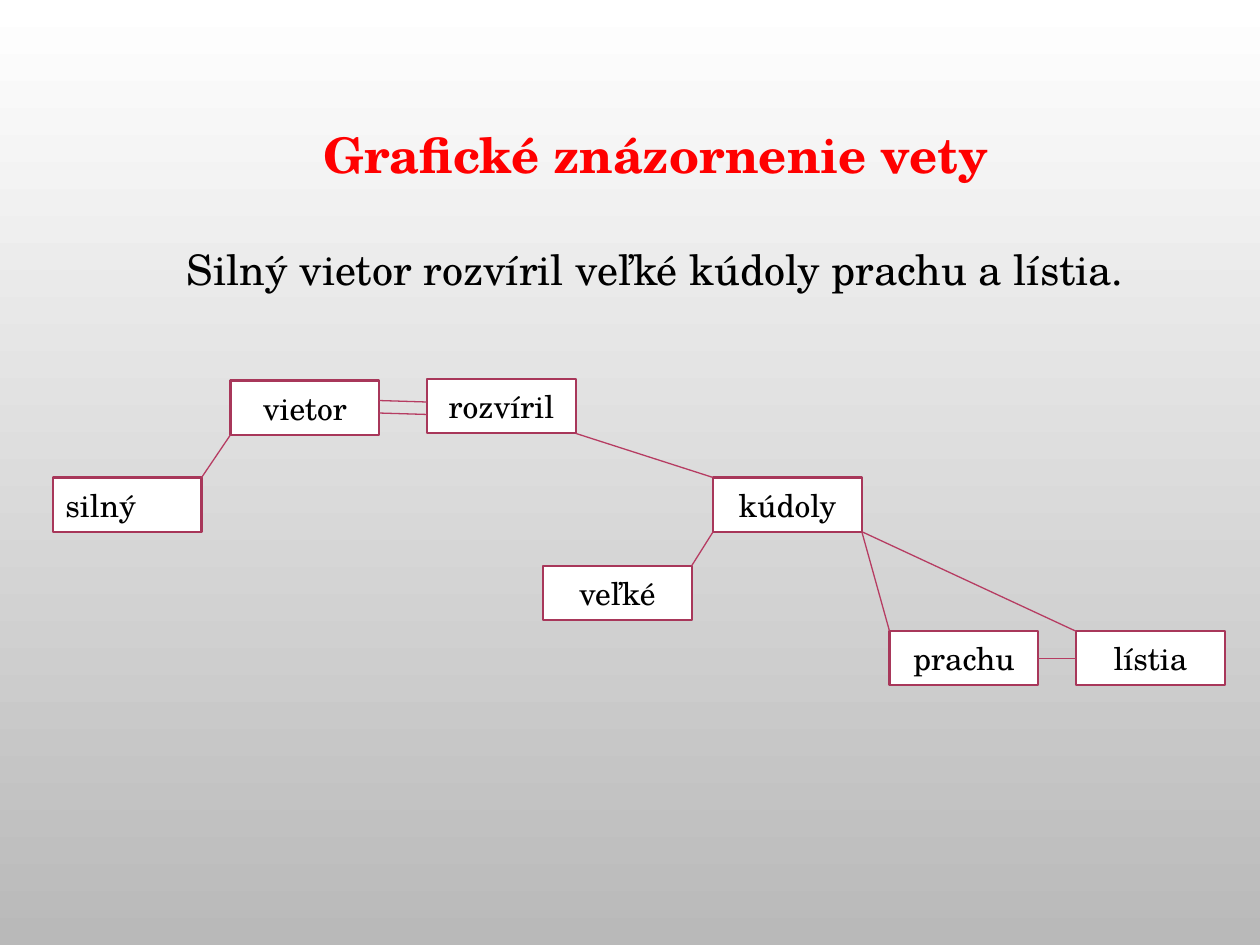
import pptx
import pptx.util
import pptx.dml.color
import pptx.enum.shapes
import pptx.enum.text
import lxml.etree
from pptx.util import Inches

FONT = "TeX Gyre Schola"
WIDE, HIGH = 1.18, 0.43
ALIGN = pptx.enum.text.PP_ALIGN
WORDS = {
    "lístia": (8.54, 5.01),
    "veľké": (4.31, 4.49),
    "prachu": (7.06, 5.01),
    "kúdoly": (5.66, 3.79),
    "silný": (0.42, 3.79),
    "vietor": (1.83, 3.02),
    "rozvíril": (3.39, 3.01),
}
LINKS = [
    ("vietor", (0, 1), "silný", (1, 0)),
    ("vietor", (1, 0.6), "rozvíril", (0, 0.65)),
    ("vietor", (1, 0.37), "rozvíril", (0, 0.42)),
    ("rozvíril", (1, 1), "kúdoly", (0, 0)),
    ("kúdoly", (0, 1), "veľké", (1, 0)),
    ("kúdoly", (1, 1), "lístia", (0, 0)),
    ("kúdoly", (1, 1), "prachu", (0, 0)),
]


def color(code):
    return pptx.dml.color.RGBColor.from_string(code)


def write(frame, text, size=18, code="000000", bold=False, align=ALIGN.CENTER, space=None):
    frame.word_wrap = True
    para = frame.paragraphs[0]
    para.alignment = align
    para.line_spacing = space
    run = para.add_run()
    run.text = text
    run.font.name = FONT
    run.font.size = pptx.util.Pt(size)
    run.font.bold = bold
    run.font.color.rgb = color(code)


def label(slide, box, text, **style):
    frame = slide.shapes.add_textbox(*map(Inches, box)).text_frame
    write(frame, text, **style)
    frame.auto_size = pptx.enum.text.MSO_AUTO_SIZE.SHAPE_TO_FIT_TEXT


def node(slide, box, text, align):
    shape = slide.shapes.add_shape(pptx.enum.shapes.MSO_SHAPE.RECTANGLE, *map(Inches, box))
    shape.shadow.inherit = False
    shape.fill.solid()
    shape.fill.fore_color.rgb = color("FFFFFF")
    shape.line.color.rgb = color("A8375A")
    shape.line.width = pptx.util.Pt(1.25)
    shape.text_frame.vertical_anchor = pptx.enum.text.MSO_ANCHOR.MIDDLE
    write(shape.text_frame, text, align=align)
    return shape


def link(slide, start, end):
    kind = pptx.enum.shapes.MSO_CONNECTOR.STRAIGHT
    line = slide.shapes.add_connector(kind, *start, *end)
    line.line.color.rgb = color("B63C62")
    line.line.width = pptx.util.Pt(0.75)
    lxml.etree.SubElement(line._element.spPr, pptx.oxml.ns.qn("a:effectLst"))
    return line


def point(shape, part):
    across, down = part
    return (int(shape.left + across * shape.width), int(shape.top + down * shape.height))


def diagram(slide, box):
    left, top = box[:2]
    nodes = {}
    for word, (x, y) in WORDS.items():
        align = ALIGN.LEFT if word == "silný" else ALIGN.CENTER
        place = (left + x, top + y, WIDE, HIGH)
        nodes[word] = node(slide, place, word, align)
    for first, out, last, into in LINKS:
        link(slide, point(nodes[first], out), point(nodes[last], into))
    one, two = nodes["prachu"], nodes["lístia"]
    pair = link(slide, point(one, (1, 0.5)), point(two, (0, 0.5)))
    pair.begin_connect(one, 3)
    pair.end_connect(two, 1)


def backdrop(slide):
    fill = slide.background.fill
    fill.gradient()
    fill.gradient_angle = 270
    for stop, code in zip(fill.gradient_stops, ("FFFFFF", "B9B9B9")):
        stop.color.rgb = color(code)


def main():
    deck = pptx.Presentation()
    deck.slide_width, deck.slide_height = Inches(10), Inches(7.5)
    slide = deck.slides.add_slide(deck.slide_layouts[6])
    backdrop(slide)
    label(slide, (1.14, 1.68, 8.12, 0.63),
          "Silný vietor rozvíril veľké kúdoly prachu a lístia.", size=24, space=1.5)
    label(slide, (1.6, 0.94, 7.21, 0.57),
          "Grafické znázornenie vety", size=28, code="FF0000", bold=True)
    diagram(slide, (0, 0, 10, 7.5))
    deck.save("out.pptx")


if __name__ == "__main__":
    main()
